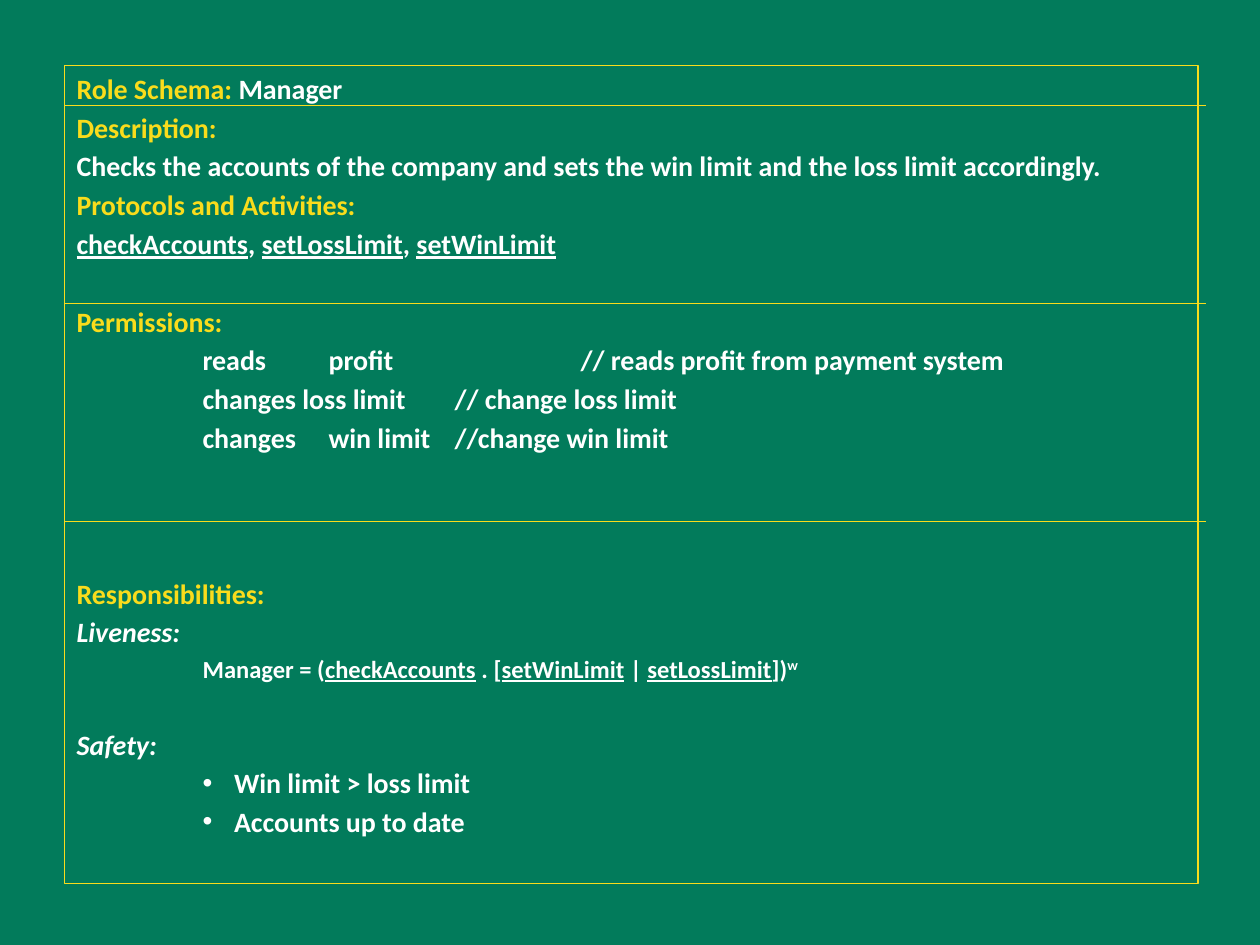
"""Build the role schema slide for the Manager role."""
import pptx
import pptx.dml.color
import pptx.enum.shapes
import pptx.enum.text
import pptx.oxml.ns
import pptx.util
from lxml import etree

GREEN, YELLOW, WHITE = "027B5B", "F9DC1C", "FFFFFF"
WIDTH, HEIGHT = 10, 7.5
LEFT, TOP, BOX_WIDTH, BOX_HEIGHT = 0.51, 0.52, 9, 6.49
RULE_END = 9.57
RULES = [0.84, 2.41, 4.14]
TAB_STOPS = [1, 2, 3, 4]
GAP, PITCH = 2.9, 22.4

STYLES = {
    "heading": {"color": YELLOW},
    "plain": {},
    "link": {"underline": True},
    "label": {"italic": True},
    "formula": {"size": 14},
    "formula link": {"size": 14, "underline": True},
    "power": {"size": 14, "baseline": 30000},
    "bullet": {},
}

# Each line: number of line heights left free above it, then its spans.
LINES = [
    (0, [("heading", "Role Schema: "), ("plain", "Manager")]),
    (0, [("heading", "Description:")]),
    (0, [("plain", "Checks the accounts of the company and sets the win limit "
                   "and the loss limit accordingly.")]),
    (0, [("heading", "Protocols and Activities:")]),
    (0, [("link", "checkAccounts"), ("plain", ", "), ("link", "setLossLimit"),
         ("plain", ", "), ("link", "setWinLimit")]),
    (1, [("heading", "Permissions:")]),
    (0, [("plain", "\treads\tprofit\t\t// reads profit from payment system")]),
    (0, [("plain", "\tchanges loss limit \t// change loss limit")]),
    (0, [("plain", "\tchanges\twin limit\t//change win limit")]),
    (3, [("heading", "Responsibilities:")]),
    (0, [("label", "Liveness:")]),
    (0, [("formula", "\tManager = ("), ("formula link", "checkAccounts"),
         ("formula", " . ["), ("formula link", "setWinLimit"),
         ("formula", " | "), ("formula link", "setLossLimit"),
         ("formula", "])"), ("power", "w")]),
    (1, [("label", "Safety:")]),
    (0, [("bullet", "Win limit > loss limit")]),
    (0, [("bullet", "Accounts up to date")]),
]


def rgb(value):
    """Turn a hex string into a colour."""
    return pptx.dml.color.RGBColor.from_string(value)


def add_child(parent, tag, **attributes):
    """Append a drawing element with the given attributes."""
    values = {name: str(value) for name, value in attributes.items()}
    return etree.SubElement(parent, pptx.oxml.ns.qn(tag), values)


def style_line(line):
    """Give an outline or rule its colour and width."""
    line.color.rgb = rgb(YELLOW)
    line.width = pptx.util.Pt(0.75)


def add_span(para, style, text):
    """Add one run of text in a named style."""
    span = para.add_run()
    span.text = text
    values = {"name": "Calibri", "size": 16, "bold": True, "color": WHITE} | STYLES[style]
    span.font.color.rgb = rgb(values.pop("color"))
    values["size"] = pptx.util.Pt(values["size"])
    if "baseline" in values:
        span._r.get_or_add_rPr().set("baseline", str(values.pop("baseline")))
    for name, value in values.items():
        setattr(span.font, name, value)


def add_line(para, space, spans):
    """Fill one paragraph with its spacing, bullet or tabs, and spans."""
    properties = para._p.get_or_add_pPr()
    if spans[0][0] == "bullet":
        properties.set("marL", str(pptx.util.Inches(1.25)))
        properties.set("indent", str(pptx.util.Inches(-0.25)))
        add_child(properties, "a:buFont", typeface="Arial")
        add_child(properties, "a:buChar", char="•")
    elif "\t" in spans[0][1]:
        tabs = add_child(properties, "a:tabLst")
        for stop in TAB_STOPS:
            add_child(tabs, "a:tab", pos=pptx.util.Inches(stop), algn="l")
    para.alignment = pptx.enum.text.PP_ALIGN.LEFT
    para.space_before = pptx.util.Pt(space)
    for style, text in spans:
        add_span(para, style, text)


def add_schema(page):
    """Draw the outlined box with the schema text."""
    box = page.shapes.add_shape(
        pptx.enum.shapes.MSO_SHAPE.RECTANGLE,
        *map(pptx.util.Inches, (LEFT, TOP, BOX_WIDTH, BOX_HEIGHT)))
    box.shadow.inherit = False
    box.fill.background()
    style_line(box.line)
    frame = box.text_frame
    frame.word_wrap = True
    frame.vertical_anchor = pptx.enum.text.MSO_ANCHOR.TOP
    for index, (free, spans) in enumerate(LINES):
        para = frame.add_paragraph() if index else frame.paragraphs[0]
        add_line(para, GAP + free * PITCH if index else 0, spans)


def add_rule(page, top):
    """Draw one horizontal rule across the box."""
    rule = page.shapes.add_connector(
        pptx.enum.shapes.MSO_CONNECTOR.STRAIGHT,
        *map(pptx.util.Inches, (LEFT, top, RULE_END, top)))
    style_line(rule.line)
    add_child(rule._element.spPr, "a:effectLst")


def main():
    """Create and save the deck."""
    deck = pptx.Presentation()
    deck.slide_width, deck.slide_height = map(pptx.util.Inches, (WIDTH, HEIGHT))
    page = deck.slides.add_slide(deck.slide_layouts[6])
    page.background.fill.solid()
    page.background.fill.fore_color.rgb = rgb(GREEN)
    add_schema(page)
    for top in RULES:
        add_rule(page, top)
    deck.save("out.pptx")


if __name__ == "__main__":
    main()
